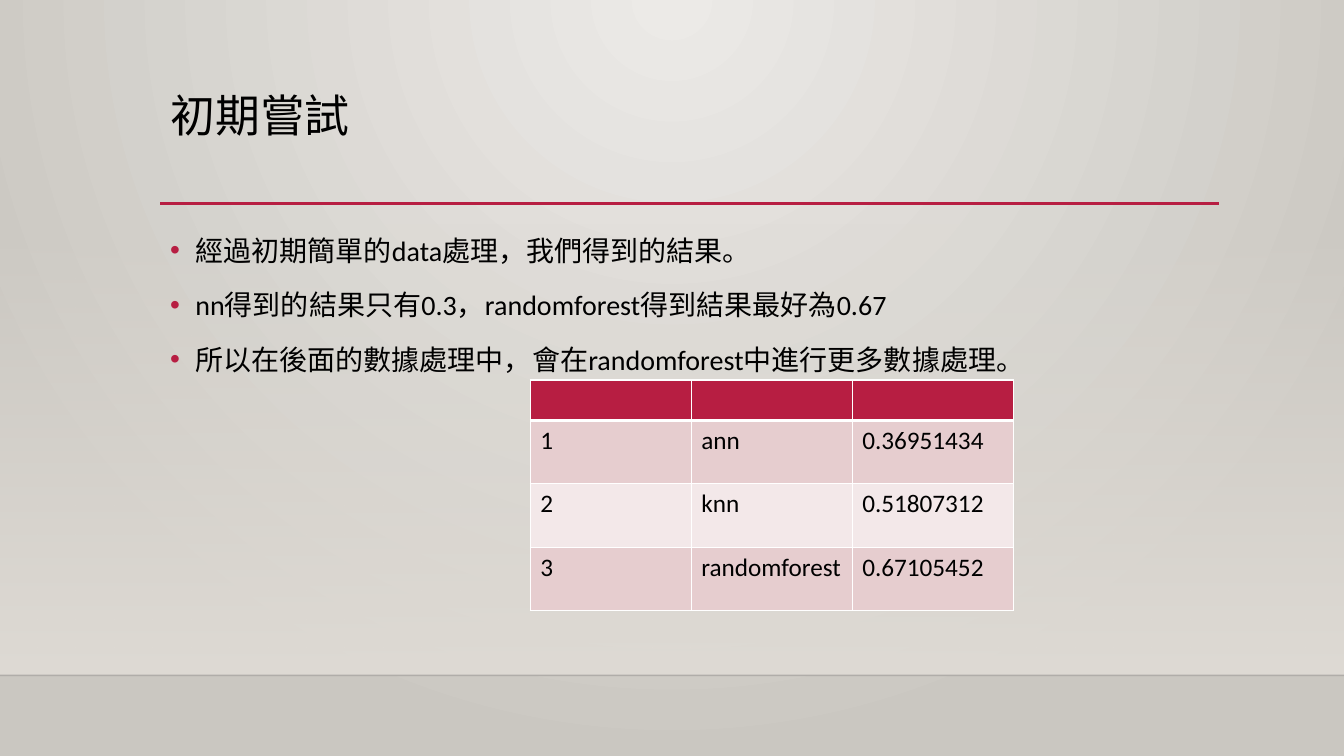
from dataclasses import dataclass

from lxml import etree
from pptx import Presentation
from pptx.dml.color import RGBColor
from pptx.enum import shapes, text
from pptx.oxml import parse_xml
from pptx.oxml.ns import nsdecls, qn
from pptx.util import Inches, Pt


@dataclass(frozen=True)
class Theme:
    font: str = "Calibri"
    ink: str = "000000"
    accent: str = "B71E42"
    glow: str = "ECEAE7"
    edge: str = "CAC7C1"
    floor: str = "DFDBD5"
    floor_line: str = "000001"
    border: str = "FFFFFF"
    bands: tuple = ("E6CDCF", "F3E8E9")
    title_size: int = 32
    body_size: int = 20
    table_size: int = 18


THEME = Theme()
TITLE = "初期嘗試"
FINDINGS = [
    "經過初期簡單的data處理，我們得到的結果。",
    "nn得到的結果只有0.3，randomforest得到結果最好為0.67",
    "所以在後面的數據處理中，會在randomforest中進行更多數據處理。",
]
SCORES = [
    ("", "", ""),
    ("1", "ann", "0.36951434"),
    ("2", "knn", "0.51807312"),
    ("3", "randomforest", "0.67105452"),
]


def add_run(paragraph, words, size):
    run = paragraph.add_run()
    run.text = words
    run.font.name = THEME.font
    run.font.size = Pt(size)
    run.font.color.rgb = RGBColor.from_string(THEME.ink)


def add_rule(slide, left, top, width, color, weight):
    rule = slide.shapes.add_connector(
        shapes.MSO_CONNECTOR.STRAIGHT,
        Inches(left), Inches(top), Inches(left + width), Inches(top))
    rule.line.color.rgb = RGBColor.from_string(color)
    rule.line.width = Pt(weight)
    properties = rule.line._get_or_add_ln().getparent()
    etree.SubElement(properties, qn("a:effectLst"))
    return rule


def set_alpha(color_element, percent):
    etree.SubElement(color_element, qn("a:alpha"), val=str(percent * 1000))


def paint_background(slide):
    """Radial glow from the middle of the top edge."""
    slide.background.fill.solid()
    properties = slide._element.cSld.find(qn("p:bg")).find(qn("p:bgPr"))
    properties.replace(properties[0], parse_xml(
        f'<a:gradFill {nsdecls("a")} rotWithShape="1"><a:gsLst>'
        f'<a:gs pos="0"><a:srgbClr val="{THEME.glow}"/></a:gs>'
        f'<a:gs pos="100000"><a:srgbClr val="{THEME.edge}"/></a:gs></a:gsLst>'
        '<a:path path="circle">'
        '<a:fillToRect l="43000" t="0" r="43000" b="100000"/>'
        '</a:path></a:gradFill>'))


def add_floor(slide, left, top, width, height):
    """Band that fades in downwards and ends in a faint line."""
    band = slide.shapes.add_shape(
        shapes.MSO_SHAPE.RECTANGLE,
        Inches(left), Inches(top), Inches(width), Inches(height))
    band.shadow.inherit = False
    band.line.fill.background()
    band.fill.gradient()
    band.fill.gradient_angle = 270
    for stop, position in zip(band.fill.gradient_stops, (0, 1)):
        stop.position = position
        stop.color.rgb = RGBColor.from_string(THEME.floor)
    first_color = next(band._element.spPr.iter(qn("a:srgbClr")))
    set_alpha(first_color, 0)

    edge = add_rule(slide, left, top + height, width, THEME.floor_line, 1)
    set_alpha(next(edge._element.spPr.iter(qn("a:srgbClr"))), 20)


def add_title(slide, left, top, width, height):
    title = slide.shapes.title
    title.left, title.top = Inches(left), Inches(top)
    title.width, title.height = Inches(width), Inches(height)
    frame = title.text_frame
    frame.word_wrap = True
    frame.auto_size = text.MSO_AUTO_SIZE.NONE
    frame.vertical_anchor = text.MSO_ANCHOR.TOP
    heading = frame.paragraphs[0]
    heading.alignment = text.PP_ALIGN.LEFT
    heading.line_spacing = 0.9
    add_run(heading, TITLE, THEME.title_size)
    add_rule(slide, left, top + 1.14, width, THEME.accent, 2.5)


def add_findings(slide, left, top, width, height):
    frame = slide.shapes.add_textbox(
        Inches(left), Inches(top), Inches(width), Inches(height)).text_frame
    frame.word_wrap = True
    for index, words in enumerate(FINDINGS):
        finding = frame.add_paragraph() if index else frame.paragraphs[0]
        finding.line_spacing = 1.2
        finding.space_before = Pt(10 if index else 0)
        properties = finding._p.get_or_add_pPr()
        properties.set("marL", str(Inches(0.25)))
        properties.set("indent", str(-Inches(0.25)))
        bullet_color = etree.SubElement(properties, qn("a:buClr"))
        etree.SubElement(bullet_color, qn("a:srgbClr"), val=THEME.accent)
        etree.SubElement(properties, qn("a:buFont"), typeface="Arial")
        etree.SubElement(properties, qn("a:buChar"), char="•")
        add_run(finding, words, THEME.body_size)


def set_borders(cell, top, bottom):
    properties = cell._tc.get_or_add_tcPr()
    for side, weight in (("L", 1), ("R", 1), ("T", top), ("B", bottom)):
        properties.append(parse_xml(
            f'<a:ln{side} {nsdecls("a")} w="{Pt(weight)}"><a:solidFill>'
            f'<a:srgbClr val="{THEME.border}"/></a:solidFill></a:ln{side}>'))


def add_scores(slide, left, top, width, height):
    header_height = 0.36
    row_count, column_count = len(SCORES), len(SCORES[0])
    scores = slide.shapes.add_table(
        row_count, column_count,
        Inches(left), Inches(top), Inches(width), Inches(height)).table
    row_height = (height - header_height) / (row_count - 1)
    for r, values in enumerate(SCORES):
        scores.rows[r].height = Inches(row_height if r else header_height)
        fill = THEME.bands[(r - 1) % 2] if r else THEME.accent
        for c, value in enumerate(values):
            cell = scores.cell(r, c)
            set_borders(cell, 3 if r == 1 else 1, 3 if r == 0 else 1)
            cell.fill.solid()
            cell.fill.fore_color.rgb = RGBColor.from_string(fill)
            if value:
                add_run(cell.text_frame.paragraphs[0], value, THEME.table_size)


def main():
    deck = Presentation()
    deck.slide_width, deck.slide_height = Inches(13.33), Inches(7.5)
    slide = deck.slides.add_slide(deck.slide_layouts[5])
    paint_background(slide)
    add_floor(slide, 0, 2.21, 13.33, 4.49)
    add_title(slide, 1.59, 0.88, 10.5, 1.15)
    add_findings(slide, 1.59, 2.2, 10.5, 3.77)
    add_scores(slide, 5.26, 3.77, 4.79, 2.25)
    deck.save("out.pptx")


if __name__ == "__main__":
    main()
